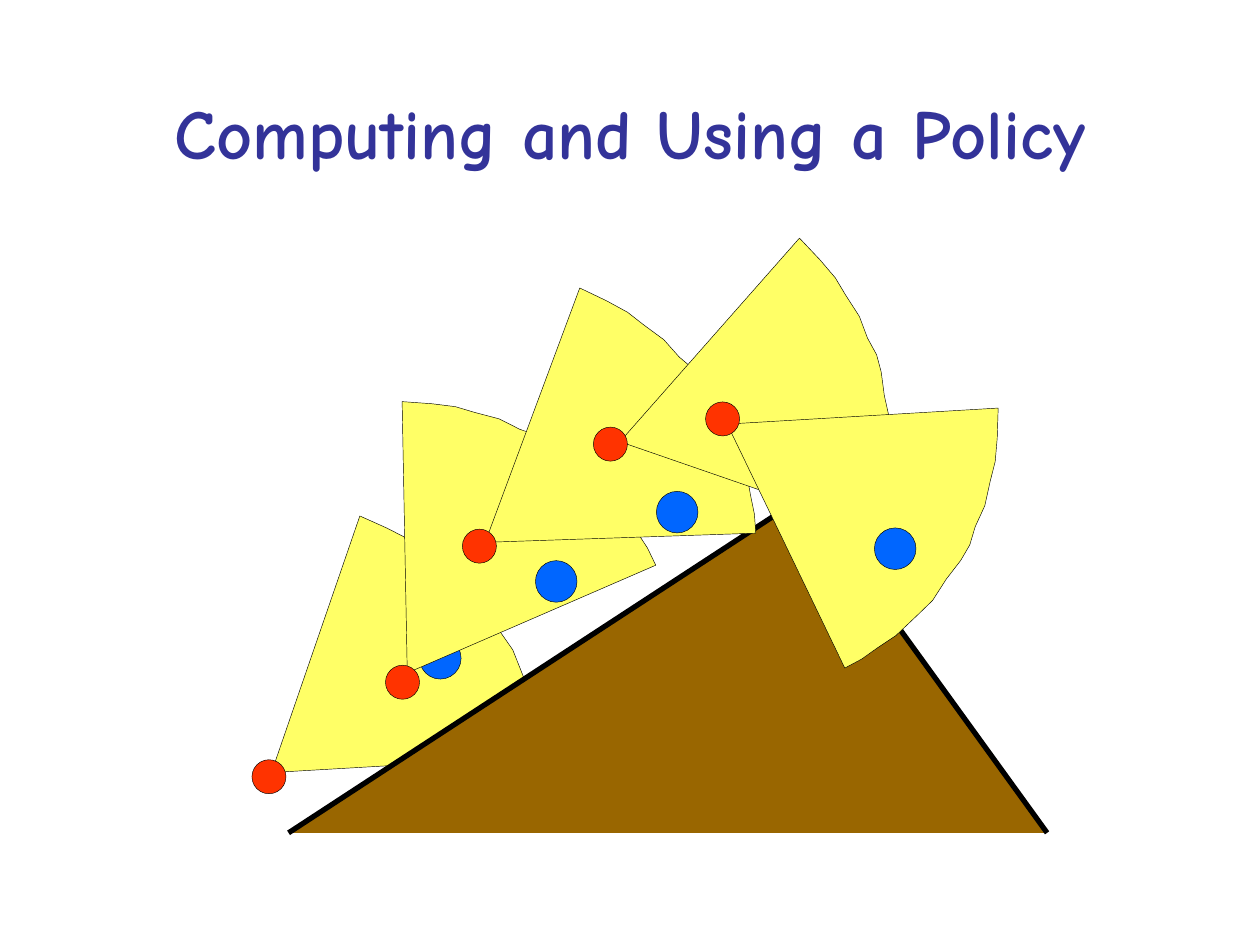
from pptx import Presentation
from pptx.dml.color import RGBColor
from pptx.enum.shapes import MSO_SHAPE as Preset
from pptx.enum.text import MSO_ANCHOR as Anchor, PP_ALIGN as Align
from pptx.util import Inches, Pt

COLUMNS, ROWS = 100, 75
CELL = Inches(0.1)

TITLE_FONT = {"name": "Comic Neue", "size": Pt(40), "bold": True}
RED, BLUE, YELLOW, BROWN = "FF3300", "0066FF", "FFFF66", "996600"
ROBOT_SIZE, GOAL_SIZE = 2.7, 3.3

# Unrotated field of view, in cells from its own top left corner
VIEW_OUTLINE = [
    (0, 20.6), (6.3, 0), (8.5, 0.9), (10.2, 1.7), (11.5, 2.6), (13.2, 3.7),
    (14.5, 5), (15.7, 5.9), (16.6, 7), (17.6, 8.6), (18.8, 10.2),
    (19.5, 11.8), (20.4, 13.9), (20.8, 15.6), (21.2, 17.1), (21.4, 18.6),
]
HILL_OUTLINE = [(22.9, 66.1), (63.8, 39.4), (83.1, 66.1)]

# View corner, view angle, robot corner, goal corner
FIRST_STEP = ((21.9, 41.1), 2, (20, 60.3), (33.3, 50.6))
LATER_STEPS = [
    ((28.6, 30), 341.9, (30.6, 52.8), (42.5, 44.5)),
    ((39.1, 23.1), 3.4, (36.7, 42), (52.1, 39)),
    ((52.5, 19.8), 24.4, (47.1, 33.9), (62.1, 36)),
    ((60.4, 29.8), 69.6, (56, 31.9), (69.4, 41.9)),
]


def cells(*counts):
    return [round(count * CELL) for count in counts]


def color(hex_code):
    return RGBColor.from_string(hex_code)


def paint(shape, fill, line_width):
    shape.shadow.inherit = False
    shape.fill.solid()
    shape.fill.fore_color.rgb = color(fill)
    shape.line.color.rgb = color("000000")
    shape.line.width = Pt(line_width)


def add_outline(shapes, points, fill, line_width, corner=(0, 0), close=True):
    start, *rest = [cells(corner[0] + x, corner[1] + y) for x, y in points]
    builder = shapes.build_freeform(*start)
    builder.add_line_segments(rest, close=close)
    outline = builder.convert_to_shape()
    paint(outline, fill, line_width)
    return outline


def add_dot(shapes, corner, size, fill):
    dot = shapes.add_shape(Preset.OVAL, *cells(*corner, size, size))
    paint(dot, fill, 0.25)


def add_step(slide, view_corner, angle, robot, goal):
    """Group a robot with its field of view and the goal it heads for."""
    step = slide.shapes.add_group_shape().shapes
    view = add_outline(step, VIEW_OUTLINE, YELLOW, 0.25, view_corner)
    view.rotation = angle
    add_dot(step, goal, GOAL_SIZE, BLUE)
    add_dot(step, robot, ROBOT_SIZE, RED)


def add_title(slide, text):
    frame = slide.shapes.add_textbox(*cells(7.5, 4.2, 85, 12.5)).text_frame
    frame.word_wrap = True
    frame.vertical_anchor = Anchor.MIDDLE
    paragraph = frame.paragraphs[0]
    paragraph.alignment = Align.CENTER
    title = paragraph.add_run()
    title.text = text
    for attribute, value in TITLE_FONT.items():
        setattr(title.font, attribute, value)
    title.font.color.rgb = color("333399")


def main():
    deck = Presentation()
    deck.slide_width, deck.slide_height = cells(COLUMNS, ROWS)
    slide = deck.slides.add_slide(deck.slide_layouts[6])
    add_step(slide, *FIRST_STEP)
    add_outline(slide.shapes, HILL_OUTLINE, BROWN, 3, close=False)
    for step in LATER_STEPS:
        add_step(slide, *step)
    add_title(slide, "Computing and Using a Policy")
    deck.save("out.pptx")


if __name__ == "__main__":
    main()
